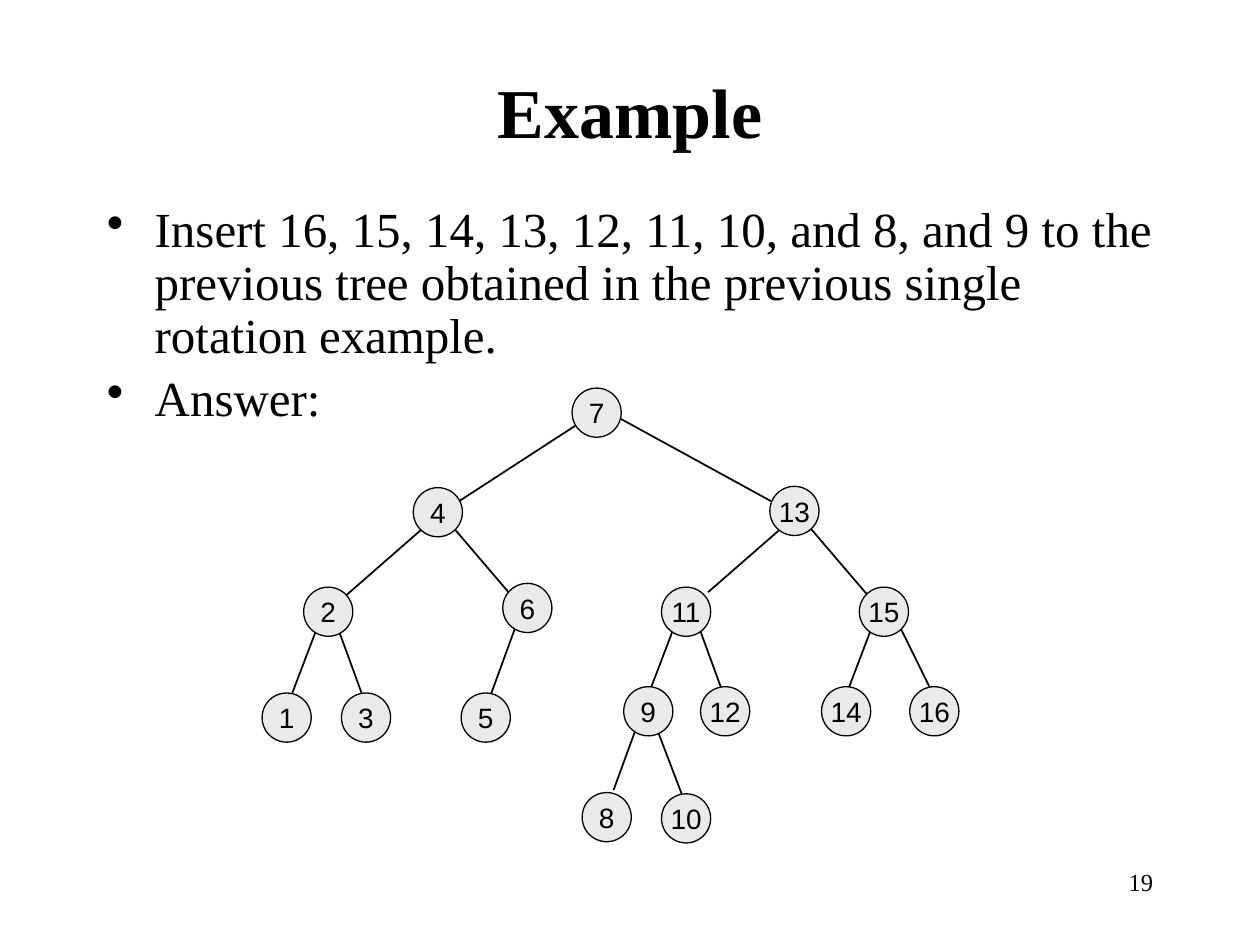
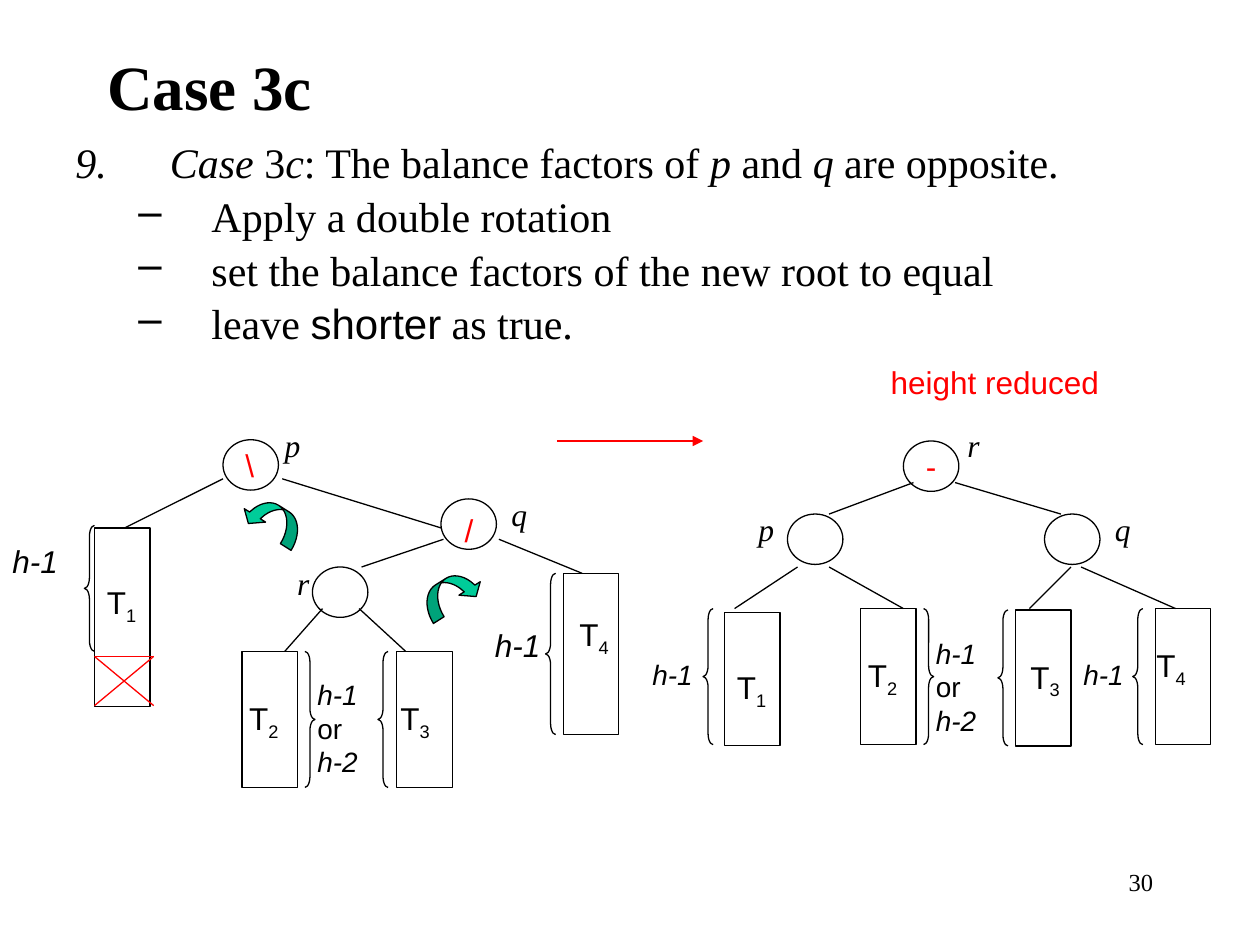
from lxml.etree import SubElement
from pptx import Presentation
from pptx.dml.color import RGBColor
from pptx.enum.shapes import MSO_CONNECTOR, MSO_SHAPE
from pptx.enum.text import MSO_ANCHOR, MSO_AUTO_SIZE, PP_ALIGN
from pptx.oxml.ns import qn
from pptx.util import Inches, Pt

BLACK, RED, GREEN, GRAY = "000000", "FF0000", "00CC99", "EAEAEA"
SERIF, SANS = "Times New Roman", "Arial"
ITALIC = {"italic": True}
rgb = RGBColor.from_string


def write(p, text, size=18, font=SANS, color=BLACK, bold=False, italic=False, base=None):
    r = p.add_run()
    r.text = text
    r.font.size = Pt(size)
    r.font.name = font
    r.font.bold = bold
    r.font.italic = italic
    r.font.color.rgb = rgb(color)
    if base:
        r._r.get_or_add_rPr().set("baseline", str(base * 1000))


def style(sp, line=BLACK, width=0.75, fill=None):
    sp.line.color.rgb = rgb(line)
    sp.line.width = Pt(width)
    if hasattr(sp, "fill"):
        if fill:
            sp.fill.solid()
            sp.fill.fore_color.rgb = rgb(fill)
        else:
            sp.fill.background()
    SubElement(sp._element.spPr, qn("a:effectLst"))


prs = Presentation()
prs.slide_width, prs.slide_height = Inches(10), Inches(7.5)

bullet = ("buChar", {"char": "•"}, 0.38, -0.38)
number = ("buAutoNum", {"type": "arabicPeriod", "startAt": "9"}, 0.75, -0.75)
dash = ("buChar", {"char": "–"}, 1.08, -0.58)

pages = [
    ("Example", 40, 0.92, PP_ALIGN.CENTER, "19", (0.75, 1.58, 8.5, 1.83), 28, [
        (bullet, [("Insert 16, 15, 14, 13, 12, 11, 10, and 8, and 9 to the previous tree "
                   "obtained in the previous single rotation example.", {})]),
        (bullet, [("Answer:", {})]),
    ]),
    ("Case 3c", 36, 0.51, PP_ALIGN.LEFT, "30", (0.5, 1.08, 9, 1.92), 24, [
        (number, [("Case", ITALIC), (" 3", {}), ("c", ITALIC),
                  (": The balance factors of ", {}), ("p", ITALIC), (" and ", {}),
                  ("q", ITALIC), (" are opposite.", {})]),
        (dash, [("Apply a double rotation", {})]),
        (dash, [("set the balance factors of the new root to equal", {})]),
        (dash, [("leave ", {}), ("shorter", {"font": SANS}), (" as true.", {})]),
    ]),
]

for title, title_size, title_height, align, page, box, size, lines in pages:
    s = prs.slides.add_slide(prs.slide_layouts[5])
    sp = s.shapes.title
    sp.left, sp.top, sp.width, sp.height = map(Inches, (0.75, 0.42, 8.5, title_height))
    tf = sp.text_frame
    tf.auto_size = MSO_AUTO_SIZE.NONE
    tf.vertical_anchor = MSO_ANCHOR.MIDDLE
    tf.paragraphs[0].alignment = align
    write(tf.paragraphs[0], title, size=title_size, font=SERIF, bold=True)

    tf = s.shapes.add_textbox(*map(Inches, (7.17, 6.83, 2.08, 0.5))).text_frame
    tf.word_wrap = True
    tf.paragraphs[0].alignment = PP_ALIGN.RIGHT
    write(tf.paragraphs[0], page, size=14, font=SERIF)

    tf = s.shapes.add_textbox(*map(Inches, box)).text_frame
    tf.word_wrap = True
    for i, ((tag, marker, margin, indent), runs) in enumerate(lines):
        p = tf.add_paragraph() if i else tf.paragraphs[0]
        pPr = p._p.get_or_add_pPr()
        pPr.set("marL", str(Inches(margin)))
        pPr.set("indent", str(Inches(indent)))
        SubElement(pPr, qn("a:" + tag), **marker)
        p.line_spacing = 0.9
        if i:
            p.space_before = Pt(0.2 * size)
        for text, fmt in runs:
            write(p, text, **{"size": size, "font": SERIF, **fmt})

example, case = prs.slides

edges = [
    (3.36, 4.19, 2.73, 4.74), (3.6, 4.19, 4.07, 4.74), (3.44, 4.11, 4.78, 3.24),
    (4.13, 4.87, 3.9, 5.5), (2.56, 4.87, 2.32, 5.5), (2.64, 4.87, 2.87, 5.5),
    (6.25, 4.15, 5.62, 4.7), (6.43, 4.19, 6.9, 4.74), (5.41, 4.82, 5.17, 5.45),
    (6.98, 4.82, 6.74, 5.45), (7.14, 4.97, 7.45, 5.6), (4.7, 3.2, 6.27, 4.06),
    (5.49, 4.82, 5.72, 5.45), (5.1, 5.64, 4.87, 6.27), (5.17, 5.67, 5.41, 6.3),
]
for ends in edges:
    style(example.shapes.add_connector(MSO_CONNECTOR.STRAIGHT, *map(Inches, ends)), width=1)

nodes = [
    (7, 4.54, 3.08), (4, 3.28, 3.87), (13, 6.11, 3.86), (2, 2.41, 4.66),
    (6, 3.99, 4.63), (11, 5.25, 4.66), (15, 6.82, 4.66), (1, 2.08, 5.5),
    (3, 2.71, 5.5), (5, 3.66, 5.5), (9, 4.95, 5.45), (12, 5.56, 5.45),
    (14, 6.52, 5.45), (16, 7.22, 5.45), (8, 4.62, 6.29), (10, 5.25, 6.3),
]
for key, x, y in nodes:
    sp = example.shapes.add_shape(MSO_SHAPE.OVAL, *map(Inches, (x, y, 0.39, 0.39)))
    style(sp, fill=GRAY)
    tf = sp.text_frame
    tf.word_wrap = False
    tf.vertical_anchor = MSO_ANCHOR.MIDDLE
    tf.paragraphs[0].alignment = PP_ALIGN.CENTER
    write(tf.paragraphs[0], str(key), size=16)

outlines = {
    MSO_SHAPE.OVAL: [(x, y, 0.44, 0.4) for x, y in [
        (1.77, 3.49), (3.5, 3.96), (2.48, 4.5), (7.17, 3.5), (6.25, 4.08), (8.29, 4.08)]],
    MSO_SHAPE.RECTANGLE: [(x, y, 0.44, h) for x, y, h in [
        (0.75, 4.19, 1.42), (1.92, 5.17, 1.08), (3.15, 5.17, 1.08), (4.47, 4.55, 1.28),
        (5.75, 4.86, 1.06), (6.83, 4.83, 1.08), (8.06, 4.84, 1.08), (9.17, 4.83, 1.08)]],
    MSO_SHAPE.LEFT_BRACE: [(x, y, 0.08, h) for x, y, h in [
        (0.67, 4.17, 1), (3, 5.17, 1.08), (4.33, 4.55, 1.28),
        (5.58, 4.83, 1.08), (7.92, 4.84, 1.08), (8.99, 4.83, 1.08)]],
    MSO_SHAPE.RIGHT_BRACE: [(x, y, 0.08, 1.08) for x, y in [(2.42, 5.17), (7.33, 4.83)]],
}
for kind, boxes in outlines.items():
    for box in boxes:
        sp = case.shapes.add_shape(kind, *map(Inches, box))
        style(sp)
        if kind in (MSO_SHAPE.LEFT_BRACE, MSO_SHAPE.RIGHT_BRACE):
            sp.adjustments[0] = 1.08

branches = [
    (2.24, 3.8, 3.5, 4.19), (1.77, 3.8, 0.99, 4.19), (3.52, 4.28, 2.87, 4.5),
    (3.96, 4.28, 4.62, 4.55), (2.56, 4.83, 2.26, 5.17), (2.85, 4.83, 3.22, 5.17),
    (7.25, 3.83, 6.58, 4.08), (7.58, 3.83, 8.42, 4.08), (6.33, 4.5, 5.83, 4.83),
    (6.58, 4.5, 7.17, 4.83), (8.5, 4.5, 8.17, 4.83), (8.58, 4.5, 9.33, 4.83),
]
removed = [(0.75, 5.21, 1.22, 5.21), (1.22, 5.21, 0.75, 5.6), (0.75, 5.21, 1.22, 5.6)]
result_arrow = (4.42, 3.5, 5.58, 3.5)
for color, group in [(BLACK, branches), (RED, removed + [result_arrow])]:
    for ends in group:
        sp = case.shapes.add_connector(MSO_CONNECTOR.STRAIGHT, *map(Inches, ends))
        style(sp, line=color)
        if ends == result_arrow:
            SubElement(sp.line._get_or_add_ln(), qn("a:tailEnd"), type="triangle")

for x, y, angle, flips in [(2.04, 3.88, 302.2, ["flipV"]),
                           (3.46, 4.46, 57.8, ["flipH", "flipV"])]:
    sp = case.shapes.add_shape(MSO_SHAPE.CURVED_LEFT_ARROW, *map(Inches, (x, y, 0.25, 0.5)))
    style(sp, fill=GREEN)
    sp.rotation = angle
    for i, value in enumerate((0.4, 0.8, 0.33)):
        sp.adjustments[i] = value
    for flip in flips:
        sp._element.spPr.xfrm.set(flip, "1")

labels = [(x, y, 2.69, [("height reduced", {"color": RED})]) for x, y in [(6.97, 2.83)]]
labels += [(x, y, 0.37, [(sign, {"color": RED})]) for sign, x, y in [
    ("\\", 1.85, 3.49), ("/", 3.59, 4.01), ("-", 7.25, 3.5)]]
labels += [(x, y, 0.52, [(name, {"font": SERIF, "italic": True})]) for name, x, y in [
    ("p", 2.16, 3.33), ("q", 3.96, 3.88), ("r", 2.26, 4.43),
    ("r", 7.58, 3.33), ("p", 5.92, 4), ("q", 8.75, 4)]]
labels += [(x, y, 0.7, [("T", {}), (index, {"base": -25})]) for index, x, y in [
    ("1", 0.75, 4.58), ("2", 1.88, 5.5), ("3", 3.08, 5.5), ("4", 4.5, 4.83),
    ("1", 5.75, 5.25), ("2", 6.79, 5.16), ("3", 8.08, 5.17), ("4", 9.08, 5.08)]]
labels += [(x, y, 0.8, [("h-1", {"size": size, "italic": True})]) for size, x, y in [
    (18, 0, 4.25), (18, 3.83, 4.92), (16, 5.08, 5.17), (16, 8.5, 5.17)]]
labels += [(x, y, 0.74, [("h-1", {"size": 16, "italic": True}), ("\n", {}),
                         ("or", {"size": 16}), ("\n", {}),
                         ("h-2", {"size": 16, "italic": True})])
           for x, y in [(2.42, 5.33), (7.33, 5)]]
for x, y, width, runs in labels:
    height = 0.9 if ("\n", {}) in runs else 0.4
    tf = case.shapes.add_textbox(*map(Inches, (x, y, width, height))).text_frame
    tf.word_wrap = True
    p = tf.paragraphs[0]
    for text, fmt in runs:
        if text == "\n":
            p.add_line_break()
        else:
            write(p, text, **fmt)

prs.save("out.pptx")
